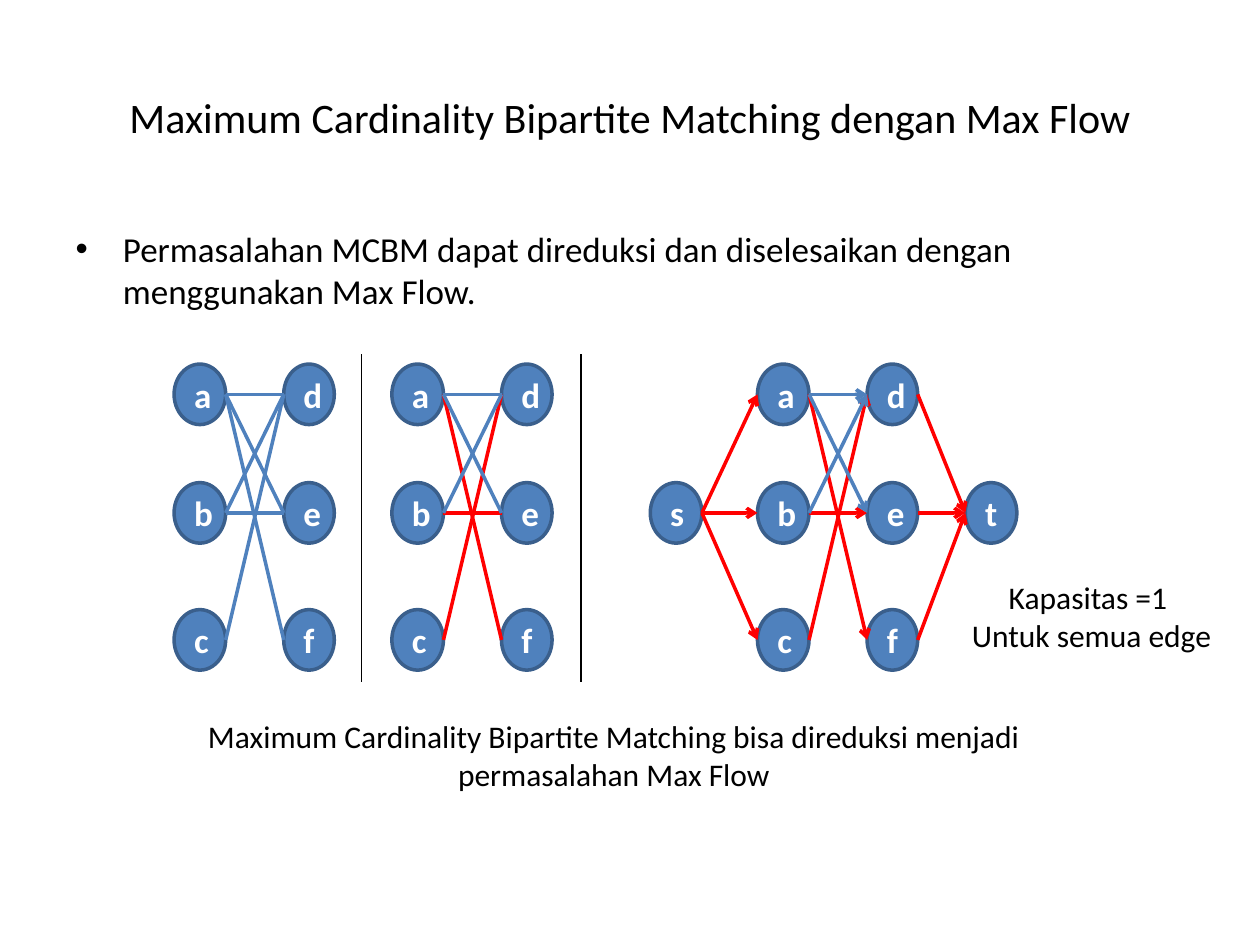
from lxml import etree
from pptx import Presentation
from pptx.dml.color import RGBColor
from pptx.enum.shapes import MSO_CONNECTOR, MSO_SHAPE
from pptx.enum.text import MSO_ANCHOR, PP_ALIGN
from pptx.oxml.ns import qn
from pptx.util import Cm, Pt

LINE, OVAL = MSO_CONNECTOR.STRAIGHT, MSO_SHAPE.OVAL
CENTER, LEFT = PP_ALIGN.CENTER, PP_ALIGN.LEFT
MIDDLE = MSO_ANCHOR.MIDDLE
BLUE, EDGE, RED, BLACK, WHITE = "4F81BD", "3A5F8C", "FF0000", "000000", "FFFFFF"
rgb = RGBColor.from_string


def write(shape, lines, size, color=BLACK, bold=False, align=CENTER):
    tf = shape.text_frame
    tf.word_wrap = True
    for i, line in enumerate(lines):
        p = tf.paragraphs[0] if i == 0 else tf.add_paragraph()
        p.alignment = align
        r = p.add_run()
        r.text = line
        for key, value in {"name": "Calibri", "size": Pt(size), "bold": bold}.items():
            setattr(r.font, key, value)
        r.font.color.rgb = rgb(color)


def draw_line(x1, y1, x2, y2, color, width, arrow=False):
    c = s.shapes.add_connector(LINE, x1, y1, x2, y2)
    c.line.color.rgb = rgb(color)
    c.line.width = Pt(width)
    if arrow:
        etree.SubElement(c.line._get_or_add_ln(), qn("a:tailEnd"), type="arrow")
    etree.SubElement(c._element.spPr, qn("a:effectLst"))


prs = Presentation()
prs.slide_width, prs.slide_height = Cm(25.4), Cm(19.05)
s = prs.slides.add_slide(prs.slide_layouts[1])

# Title and bullet
title, body = s.placeholders
for ph, top, height in [(title, 0.76, 3.18), (body, 4.45, 5.49)]:
    ph.left, ph.top, ph.width, ph.height = Cm(1.27), Cm(top), Cm(22.86), Cm(height)
write(title, ["Maximum Cardinality Bipartite Matching dengan Max Flow"], 24)
write(body, ["Permasalahan MCBM dapat direduksi dan diselesaikan dengan "
             "menggunakan Max Flow."], 20, align=LEFT)

# Graphs: left edge, blue edges, red edges, arrows
ROWS = [7.34, 9.73, 12.29]
PAIR = {"a": (0, 0), "b": (0, 1), "c": (0, 2),
        "d": (2.21, 0), "e": (2.21, 1), "f": (2.21, 2)}
FLOW = {**PAIR, "s": (-2.16, 1), "t": (4.19, 1)}
graphs = [
    (3.51, PAIR, "ad ae af bd be cd", "", False),
    (7.9, PAIR, "ad ae bd", "af be cd", False),
    (15.27, FLOW, "ad ae bd", "sa sb sc af cd be dt et ft", True),
]
for left, places, blue, red, arrow in graphs:
    nodes = {}
    for name, (dx, row) in places.items():
        width = 1.02 if name in "def" else 1.04
        sp = s.shapes.add_shape(OVAL, Cm(left + dx), Cm(ROWS[row]), Cm(width), Cm(1.22))
        sp.shadow.inherit = False
        sp.fill.solid()
        sp.fill.fore_color.rgb = rgb(BLUE)
        sp.line.color.rgb = rgb(EDGE)
        sp.line.width = Pt(2)
        sp.text_frame.vertical_anchor = MIDDLE
        write(sp, [name], 20, WHITE, bold=True)
        nodes[name] = sp
    for edges, color in [(red, RED), (blue, BLUE)]:
        for start, end in edges.split():
            a, b = nodes[start], nodes[end]
            draw_line(a.left + a.width, a.top + a.height // 2,
                      b.left, b.top + b.height // 2, color, 2, arrow)

# Dividers
for x in (7.29, 11.71):
    draw_line(Cm(x), Cm(7.14), Cm(x), Cm(13.74), BLACK, 1)

# Captions
captions = [
    (3.23, 14.33, 18.29, ["Maximum Cardinality Bipartite Matching bisa direduksi "
                          "menjadi permasalahan Max Flow"]),
    (19.3, 11.53, 5.41, ["Kapasitas =1 ", "Untuk semua edge"]),
]
for left, top, width, lines in captions:
    write(s.shapes.add_textbox(Cm(left), Cm(top), Cm(width), Cm(1.8)), lines, 18)

prs.save("out.pptx")
